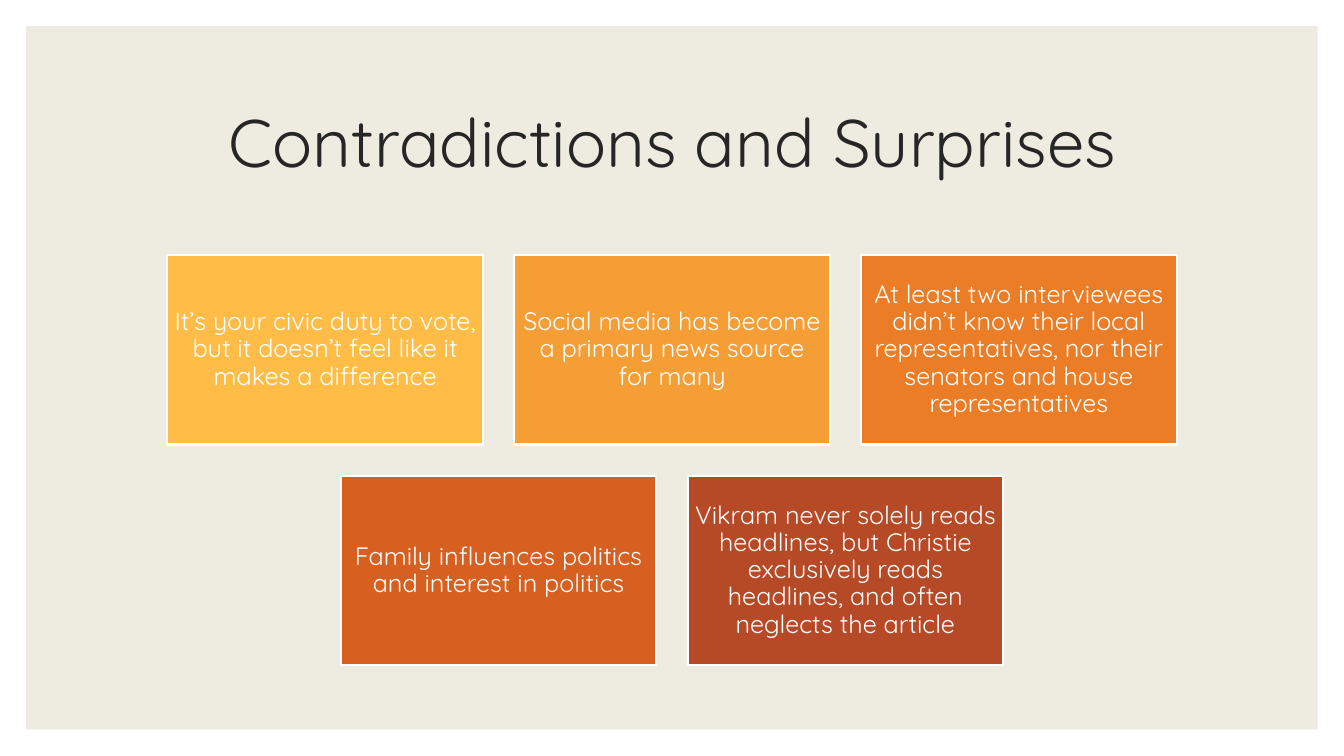
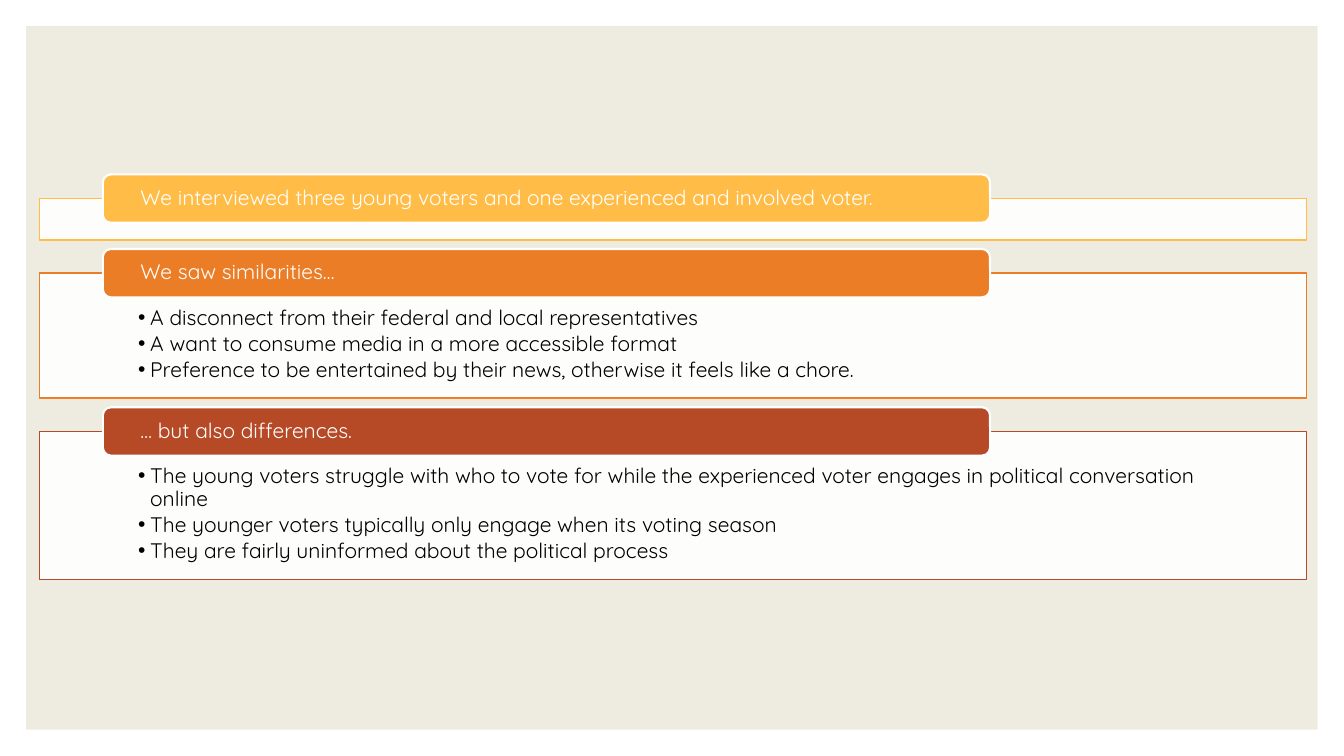
from lxml import etree
from pptx import Presentation
from pptx.dml.color import RGBColor
from pptx.enum.shapes import MSO_SHAPE
from pptx.enum.text import MSO_ANCHOR, MSO_AUTO_SIZE, PP_ALIGN
from pptx.oxml.ns import qn
from pptx.util import Inches, Pt

RECT, ROUND = MSO_SHAPE.RECTANGLE, MSO_SHAPE.ROUNDED_RECTANGLE
TOP, MIDDLE = MSO_ANCHOR.TOP, MSO_ANCHOR.MIDDLE
LEFT, CENTER = PP_ALIGN.LEFT, PP_ALIGN.CENTER
NO_FIT = MSO_AUTO_SIZE.NONE
TITLE_ONLY, TWO_CONTENT = 5, 3
WIDTH, HEIGHT = 13.33, 7.5
FONT = "Quicksand"
COLORS = {
    "white": "FFFFFF", "black": "000000", "paper": "EEECE1", "title": "262626",
    "yellow": "FFBD47", "amber": "F69E36", "orange": "EB7D26",
    "rust": "D75F20", "brick": "B64926",
}


def rgb(name):
    return RGBColor.from_string(COLORS[name])


class Deck:
    def __init__(self):
        self.prs = Presentation()
        self.prs.slide_width, self.prs.slide_height = Inches(WIDTH), Inches(HEIGHT)
        self.s = None

    def slide(self, layout):
        self.s = self.prs.slides.add_slide(self.prs.slide_layouts[layout])

    def backdrop(self):
        """Put the paper panel on the master, behind everything."""
        margin = 0.26
        sp = self.shape(RECT, margin, margin, WIDTH - 2 * margin, HEIGHT - 2 * margin, "paper")
        sp.element.nvSpPr.cNvPr.set("id", "100")
        self.prs.slide_master.element.cSld.spTree.insert(2, sp.element)

    def place(self, sp, x, y, w, h):
        sp.left, sp.top, sp.width, sp.height = map(Inches, (x, y, w, h))

    def paint(self, sp, fill, line=None, width=1.5, alpha=None):
        sp.fill.solid()
        sp.fill.fore_color.rgb = rgb(fill)
        if alpha:
            color = sp.element.spPr.find(qn("a:solidFill"))[0]
            etree.SubElement(color, qn("a:alpha")).set("val", str(alpha * 1000))
        if line:
            sp.line.color.rgb = rgb(line)
            sp.line.width = Pt(width)
        else:
            sp.line.fill.background()

    def shape(self, kind, x, y, w, h, fill, line=None):
        sp = self.s.shapes.add_shape(kind, *map(Inches, (x, y, w, h)))
        sp.shadow.inherit = False
        self.paint(sp, fill, line)
        return sp

    def text(self, sp, lines, size, color, align=LEFT, anchor=MIDDLE,
             insets=(0.1, 0.05, 0.1, 0.05), after=0, bullets=False):
        tf = sp.text_frame
        tf.word_wrap, tf.auto_size, tf.vertical_anchor = True, NO_FIT, anchor
        tf.margin_left, tf.margin_top, tf.margin_right, tf.margin_bottom = map(Inches, insets)
        for i, line in enumerate(lines):
            p = tf.add_paragraph() if i else tf.paragraphs[0]
            p.alignment, p.line_spacing = align, 0.9
            p.space_before, p.space_after = Pt(0), Pt(after)
            if bullets:
                self.bullet(p)
            r = p.add_run()
            r.text = line
            r.font.name, r.font.size = FONT, Pt(size)
            r.font.color.rgb = rgb(color)

    def bullet(self, p):
        pPr = p._p.get_or_add_pPr()
        indent = Inches(0.12)
        pPr.set("marL", str(indent))
        pPr.set("indent", str(-indent))
        etree.SubElement(pPr, qn("a:buChar")).set("char", "•")

    def title(self, text):
        sp = self.s.shapes.title
        self.place(sp, 1.17, 0.7, 11, 1.5)
        self.text(sp, [text], 48, "title", CENTER)

    def tile_row(self, y, w, h, gap, tiles):
        x = (WIDTH - len(tiles) * w - (len(tiles) - 1) * gap) / 2
        for i, (color, text) in enumerate(tiles):
            sp = self.shape(RECT, x + i * (w + gap), y, w, h, color, "white")
            self.text(sp, [text], 18, "white", CENTER, insets=(0.07,) * 4)

    def section(self, y, h, color, heading, holder=None, points=()):
        # Outlined panel, with the list inside when there is one
        box = (0.39, y, 12.57, h)
        if holder:
            self.place(holder, *box)
            self.text(holder, points, 15, "black", anchor=TOP,
                      insets=(0.98, 0.34, 0.98, 0.12), after=2.25, bullets=True)
        else:
            holder = self.shape(RECT, *box, "white")
        self.paint(holder, "white", color, 1, alpha=90)
        # Heading tab centred on the panel's top edge
        tab = self.shape(ROUND, 1.02, y - 0.24, 8.8, 0.48, color, "white")
        self.text(tab, [heading], 15, "white", insets=(0.35, 0, 0.35, 0))


def main():
    deck = Deck()

    # Slide 1: tiles in two centred rows
    deck.slide(TITLE_ONLY)
    deck.backdrop()
    deck.title("Contradictions and Surprises")
    rows = [
        [("yellow", "It’s your civic duty to vote, but it doesn’t feel like it makes a difference"),
         ("amber", "Social media has become a primary news source for many"),
         ("orange", "At least two interviewees didn’t know their local representatives, "
                    "nor their senators and house representatives")],
        [("rust", "Family influences politics and interest in politics"),
         ("brick", "Vikram never solely reads headlines, but Christie exclusively reads "
                   "headlines, and often neglects the article")],
    ]
    w, h, gap = 3.13, 1.88, 0.31
    for i, tiles in enumerate(rows):
        deck.tile_row(2.53 + i * (h + gap), w, h, gap, tiles)

    # Slide 2: findings in three sections
    deck.slide(TWO_CONTENT)
    title, similarities, differences = deck.s.placeholders
    title.element.getparent().remove(title.element)
    sections = [
        (0.41, "yellow", "We interviewed three young voters and one experienced and involved voter."),
        (1.24, "orange", "We saw similarities…", similarities, [
            "A disconnect from their federal and local representatives",
            "A want to consume media in a more accessible format",
            "Preference to be entertained by their news, otherwise it feels like a chore."]),
        (1.47, "brick", "… but also differences.", differences, [
            "The young voters struggle with who to vote for while the experienced voter "
            "engages in political conversation online",
            "The younger voters typically only engage when its voting season",
            "They are fairly uninformed about the political process"]),
    ]
    y = 1.97
    for h, *content in sections:
        deck.section(y, h, *content)
        y += h + 0.33

    deck.prs.save("out.pptx")


if __name__ == "__main__":
    main()
